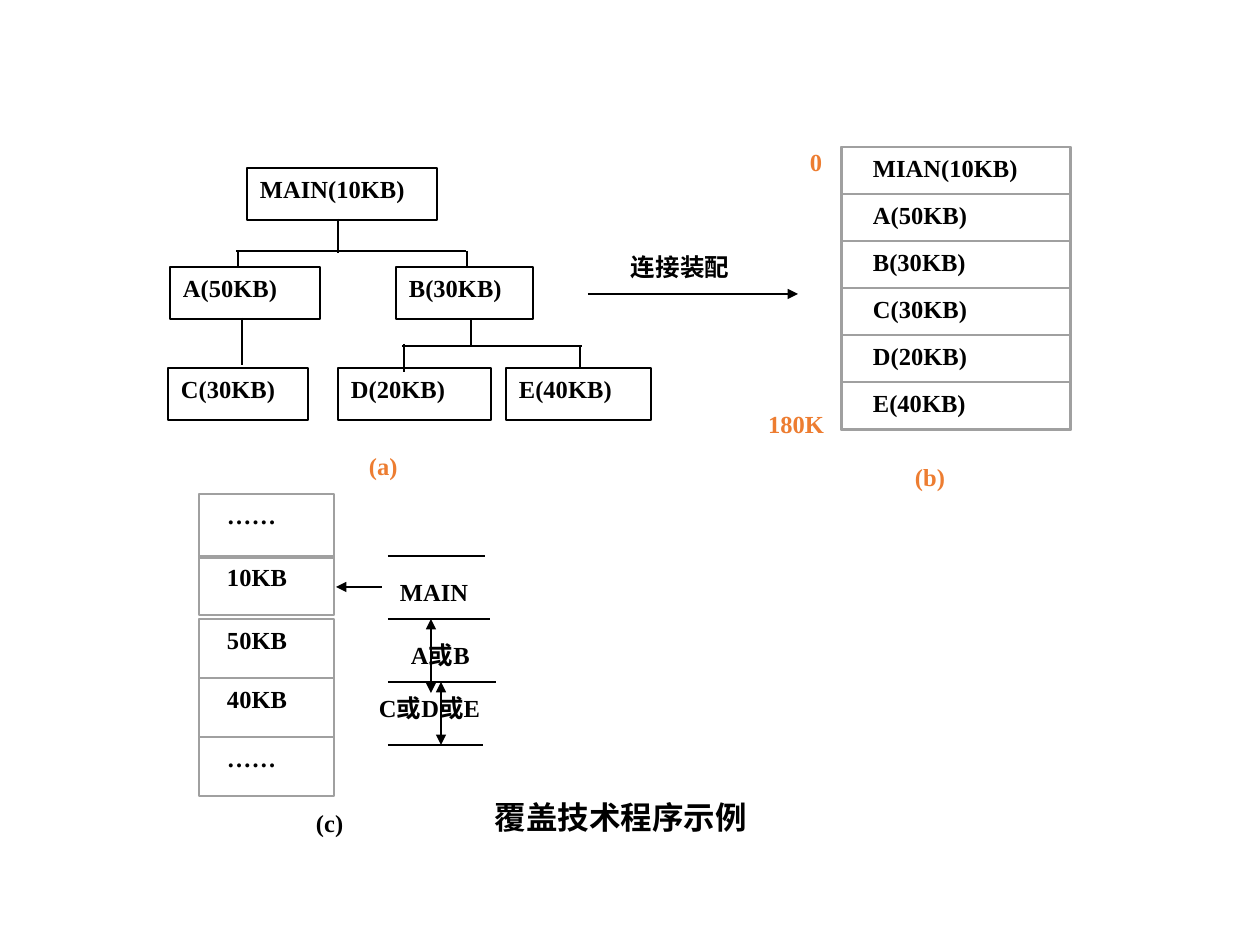
from dataclasses import dataclass

from lxml.etree import SubElement
from pptx import Presentation
from pptx.dml.color import RGBColor as Rgb
from pptx.enum.shapes import MSO_CONNECTOR as Conn, MSO_SHAPE as Geo
from pptx.enum.text import MSO_ANCHOR as Anchor, PP_ALIGN as Align
from pptx.oxml.ns import qn
from pptx.util import Pt


@dataclass(frozen=True)
class Theme:
    ink: Rgb = Rgb(0x00, 0x00, 0x00)
    warm: Rgb = Rgb(0xED, 0x7D, 0x31)
    grey: Rgb = Rgb(0xA0, 0xA0, 0xA0)
    font: str = "Times New Roman"
    body: int = 14
    title: int = 18
    thin: float = 0.75
    frame: float = 0.87
    hair: int = 0


T = Theme()
PX = 914400 / 126
WIDE, HIGH = 1260, 945
PAD, EDGE = (13, 6), (1, 0)

TREE = [
    ("MAIN(10KB)", 247, 168, 190),
    ("A(50KB)", 170, 267, 150),
    ("B(30KB)", 396, 267, 137),
    ("C(30KB)", 168, 368, 140),
    ("D(20KB)", 338, 368, 153),
    ("E(40KB)", 506, 368, 145),
]
TREE_H = 52
LINKS = [
    (238, 251, 238, 267), (236, 251, 466, 251), (467, 251, 467, 267),
    (338, 219, 338, 253), (242, 318, 242, 365), (404, 344, 404, 372),
    (402, 346, 582, 346), (580, 346, 580, 369), (471, 320, 471, 346),
]

LOAD = ["MIAN(10KB)", "A(50KB)", "B(30KB)", "C(30KB)", "D(20KB)", "E(40KB)"]
LOAD_X, LOAD_Y, LOAD_W, LOAD_H = 841, 147, 230, 47

ZONES = [("……", 494, 64), ("10KB", 556, 59), ("50KB", 619, 59),
         ("40KB", 678, 59), ("……", 737, 59)]
ZONE_X, ZONE_W = 199, 135
RULES = [(556, 485), (619, 490), (682, 496), (745, 483)]
RULE_X = 388

ARROWS = [
    ((588, 294, 798, 294), ["tail"]),
    ((382, 587, 336, 587), ["tail"]),
    ((431, 693, 431, 619), ["head", "tail"]),
    ((441, 682, 441, 745), ["head", "tail"]),
]

NOTES = [
    ("(a)", (368, 451, 64, 43), T.warm, T.body),
    ("180K", (767, 409, 59, 26), T.warm, T.body),
    ("0", (809, 147, 20, 19), T.warm, T.body),
    ("(b)", (914, 462, 59, 26), T.warm, T.body),
    ("连接装配", (630, 252, 125, 26), T.ink, T.body),
    ("MAIN", (399, 577, 73, 33), T.ink, T.body),
    ("A或B", (410, 640, 98, 33), T.ink, T.body),
    ("C或D或E", (378, 693, 137, 33), T.ink, T.body),
    ("(c)", (315, 808, 59, 33), T.ink, T.body),
    ("覆盖技术程序示例", (494, 798, 378, 53), T.ink, T.title),
]


def emu(*vals):
    return [round(v * PX) for v in vals]


def write(shape, text, pad, color=T.ink, size=T.body):
    tf = shape.text_frame
    tf.word_wrap = True
    tf.vertical_anchor = Anchor.TOP
    tf.margin_left = tf.margin_right = emu(pad[0])[0]
    tf.margin_top = tf.margin_bottom = emu(pad[1])[0]
    para = tf.paragraphs[0]
    para.text = text
    para.alignment = Align.LEFT
    font = para.font
    font.name, font.size, font.bold = T.font, Pt(size), True
    font.color.rgb = color


def label(slide, text, rect, pad=PAD, color=T.ink, size=T.body):
    write(slide.shapes.add_textbox(*emu(*rect)), text, pad, color, size)


def box(slide, rect, color, width):
    shape = slide.shapes.add_shape(Geo.RECTANGLE, *emu(*rect))
    shape.shadow.inherit = False
    shape.fill.background()
    shape.line.color.rgb = color
    shape.line.width = Pt(width)
    return shape


def line(slide, ends, tips=(), color=T.ink, width=T.thin):
    conn = slide.shapes.add_connector(Conn.STRAIGHT, *emu(*ends))
    conn.line.color.rgb = color
    conn.line.width = Pt(width)
    for tip in tips:
        SubElement(conn.line._get_or_add_ln(), qn(f"a:{tip}End"), type="triangle")
    SubElement(conn._element.spPr, qn("a:effectLst"))


def main():
    deck = Presentation()
    deck.slide_width, deck.slide_height = emu(WIDE, HIGH)
    slide = deck.slides.add_slide(deck.slide_layouts[6])

    for text, x, y, w in TREE:
        write(box(slide, (x, y, w, TREE_H), T.ink, T.thin), text, PAD)
    for ends in LINKS:
        line(slide, ends)

    for i, text in enumerate(LOAD):
        y = LOAD_Y + i * LOAD_H
        label(slide, text, (LOAD_X + 19, y, LOAD_W - 40, LOAD_H))
        box(slide, (LOAD_X + 1, y, LOAD_W - 2, LOAD_H), T.grey, T.hair)
    box(slide, (LOAD_X, LOAD_Y, LOAD_W, len(LOAD) * LOAD_H + 1), T.grey, T.frame)

    for text, rect, color, size in NOTES:
        label(slide, text, rect, EDGE, color, size)
    for y, end in RULES:
        line(slide, (RULE_X, y, end, y))
    for ends, tips in ARROWS:
        line(slide, ends, tips)

    for text, y, h in ZONES:
        label(slide, text, (ZONE_X + 15, y, ZONE_W - 29, h))
        box(slide, (ZONE_X, y, ZONE_W, h), T.grey, T.hair)
    line(slide, (ZONE_X + 1, 557, ZONE_X + ZONE_W + 1, 557), (), T.grey, T.hair)

    deck.save("out.pptx")


if __name__ == "__main__":
    main()
